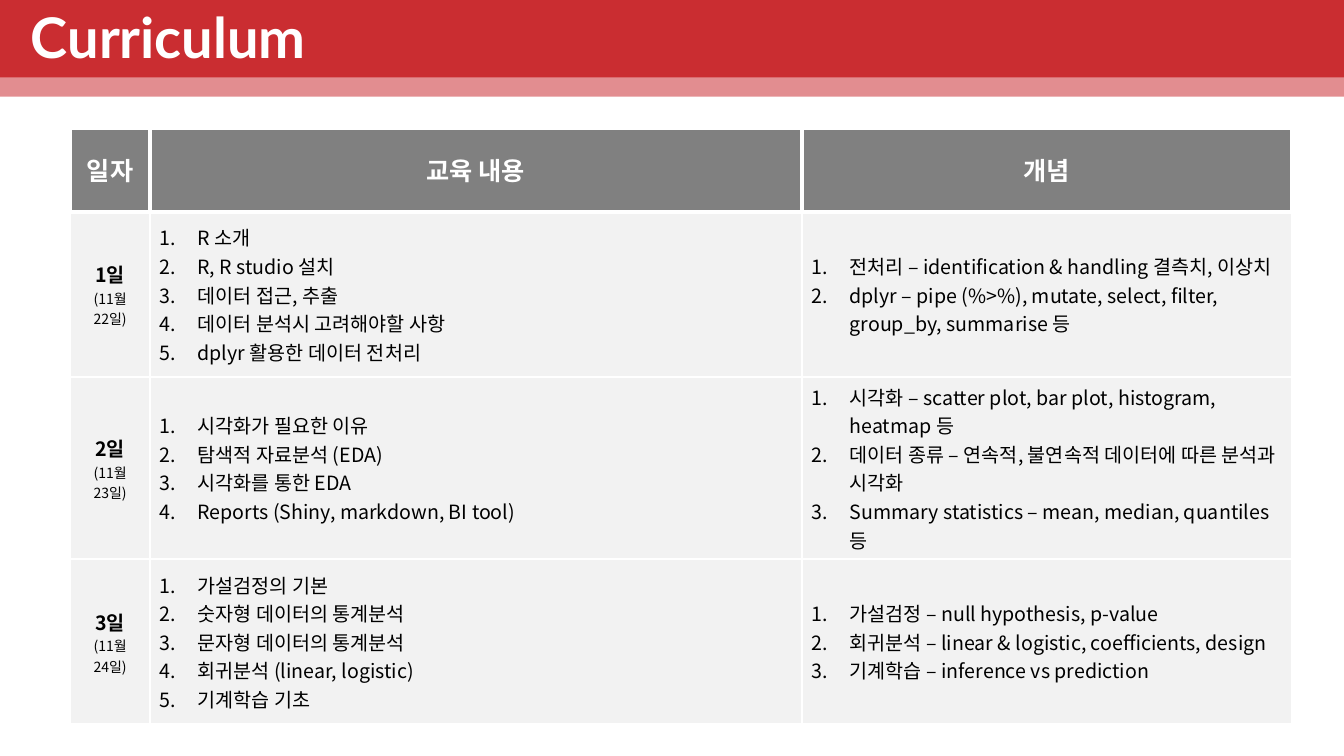
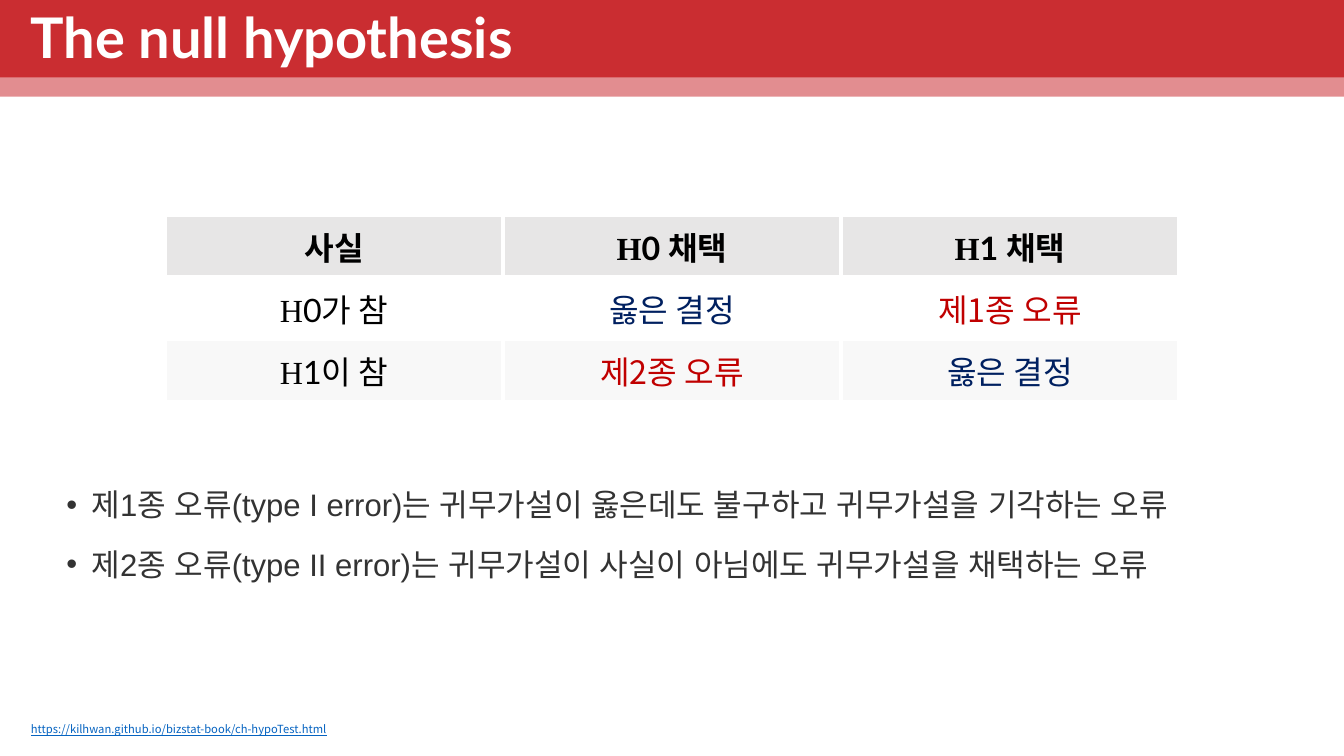
from lxml.etree import SubElement
from pptx import Presentation
from pptx.dml.color import RGBColor
from pptx.enum.shapes import MSO_SHAPE as Shape
from pptx.enum.text import MSO_ANCHOR as Anchor, PP_ALIGN as Align
from pptx.oxml.ns import qn
from pptx.util import Pt

RED = RGBColor(0xC7, 0x1D, 0x22)
WHITE = RGBColor(0xFF, 0xFF, 0xFF)
BLACK = RGBColor(0x00, 0x00, 0x00)
HEADER_GRAY = RGBColor(0x80, 0x80, 0x80)
ROW_GRAY = RGBColor(0xF2, 0xF2, 0xF2)
HEADER_LIGHT = RGBColor(0xE7, 0xE6, 0xE6)
ROW_LIGHT = RGBColor(0xF8, 0xF8, 0xF8)
TEXT_GRAY = RGBColor(0x33, 0x33, 0x33)
CORRECT_BLUE = RGBColor(0x00, 0x20, 0x60)
ERROR_RED = RGBColor(0xC0, 0x00, 0x00)
LINK_BLUE = RGBColor(0x05, 0x63, 0xC1)

KOREAN = "Noto Sans CJK KR"
LATIN = "Lato"
SERIF = "Times New Roman"


def write(frame, text, font=KOREAN, size=14, color=BLACK, bold=False, underline=False,
          align=Align.LEFT, bullet=None, indent=0, before=0, after=0, line=None):
    """Add a paragraph; text is a string or a list of (string, font) runs."""
    paragraph = frame.paragraphs[0]
    if paragraph.runs:
        paragraph = frame.add_paragraph()
        paragraph.space_before = Pt(before)
    paragraph.space_after = Pt(after)
    paragraph.alignment = align
    if line:
        paragraph.line_spacing = line
    if bullet:
        properties = paragraph._p.get_or_add_pPr()
        properties.set("marL", str(Pt(indent)))
        properties.set("indent", str(-Pt(indent)))
        if bullet == "number":
            SubElement(properties, qn("a:buAutoNum"), type="arabicPeriod")
        else:
            SubElement(properties, qn("a:buFont"), typeface="Arial")
            SubElement(properties, qn("a:buChar"), char=bullet)
    runs = [(text, font)] if isinstance(text, str) else text
    for words, typeface in runs:
        run = paragraph.add_run()
        run.text = words
        run.font.name = typeface
        run.font.size = Pt(size)
        run.font.bold = bold
        run.font.underline = underline
        run.font.color.rgb = color
        SubElement(run.font._element, qn("a:ea"), typeface=typeface)


def style_cell(cell, fill, border, top=None):
    """Fill a cell, centre it vertically and give it white borders in points."""
    cell.vertical_anchor = Anchor.MIDDLE
    properties = cell._tc.get_or_add_tcPr()
    for side in ("lnL", "lnR", "lnT", "lnB"):
        width = top if top and side == "lnT" else border
        edge = SubElement(properties, qn(f"a:{side}"), w=str(Pt(width)))
        SubElement(SubElement(edge, qn("a:solidFill")), qn("a:srgbClr"), val=str(WHITE))
    cell.fill.solid()
    cell.fill.fore_color.rgb = fill


presentation = Presentation()
presentation.slide_width = Pt(960)
presentation.slide_height = Pt(540)

# Shared header: two translucent bands and the title
slides = []
for title in ("Curriculum", "The null hypothesis"):
    slide = presentation.slides.add_slide(presentation.slide_layouts[6])
    slides.append(slide)
    for height, opacity in ((55.4, 85), (69.1, 50)):
        band = slide.shapes.add_shape(Shape.RECTANGLE, 0, 0, Pt(960), Pt(height))
        band.shadow.inherit = False
        band.line.fill.background()
        band.fill.solid()
        band.fill.fore_color.rgb = RED
        color = band._element.spPr.find(qn("a:solidFill"))[0]
        SubElement(color, qn("a:alpha"), val=str(opacity * 1000))
    frame = slide.shapes.add_textbox(Pt(15), Pt(10.8), Pt(813), Pt(36.7)).text_frame
    frame.word_wrap = True
    frame.vertical_anchor = Anchor.MIDDLE
    write(frame, title, font=LATIN, size=40, color=WHITE, bold=True, line=0.9)
curriculum, hypothesis = slides

# Curriculum table
days = [
    ("1일", "22일)", 118,
     ["R 소개", "R, R studio 설치", "데이터 접근, 추출", "데이터 분석시 고려해야할 사항",
      "dplyr 활용한 데이터 전처리"],
     ["전처리 – identification & handling 결측치, 이상치",
      "dplyr – pipe (%>%), mutate, select, filter, group_by, summarise 등"]),
    ("2일", "23일)", 130,
     ["시각화가 필요한 이유", "탐색적 자료분석 (EDA)", "시각화를 통한 EDA",
      "Reports (Shiny, markdown, BI tool)"],
     ["시각화 – scatter plot, bar plot, histogram, heatmap 등",
      "데이터 종류 – 연속적, 불연속적 데이터에 따른 분석과 시각화",
      "Summary statistics – mean, median, quantiles 등"]),
    ("3일", "24일)", 118,
     ["가설검정의 기본", "숫자형 데이터의 통계분석", "문자형 데이터의 통계분석",
      "회귀분석 (linear, logistic)", "기계학습 기초"],
     ["가설검정 – null hypothesis, p-value",
      "회귀분석 – linear & logistic, coefficients, design",
      "기계학습 – inference vs prediction"]),
]
column_widths = (56.5, 465.8, 350)
header_height = 60
table_height = header_height + sum(day[2] for day in days)
table = curriculum.shapes.add_table(
    4, 3, Pt(50.4), Pt(91.4), Pt(sum(column_widths)), Pt(table_height)).table
table.horz_banding = False
for column, width in zip(table.columns, column_widths):
    column.width = Pt(width)
table.rows[0].height = Pt(header_height)
for index, heading in enumerate(("일자", "교육 내용", "개념")):
    cell = table.cell(0, index)
    style_cell(cell, HEADER_GRAY, border=3)
    write(cell.text_frame, heading, size=18, color=WHITE, bold=True, align=Align.CENTER)
for row, (day, date, height, topics, concepts) in enumerate(days, start=1):
    table.rows[row].height = Pt(height)
    for index in range(3):
        style_cell(table.cell(row, index), ROW_GRAY, border=1.5, top=3 if row == 1 else None)
    frame = table.cell(row, 0).text_frame
    write(frame, day, bold=True, align=Align.CENTER)
    for part in ("(11월", date):
        write(frame, part, size=10, align=Align.CENTER)
    for index, items in ((1, topics), (2, concepts)):
        for item in items:
            write(table.cell(row, index).text_frame, item, bullet="number", indent=27)

# Decision table
correct = ("옳은 결정", CORRECT_BLUE)
type_one = ("제1종 오류", ERROR_RED)
type_two = ("제2종 오류", ERROR_RED)
decisions = [
    (HEADER_LIGHT, [("사실", BLACK),
                    ([("H", SERIF), ("0 ", LATIN), ("채택", KOREAN)], BLACK),
                    ([("H", SERIF), ("1 ", LATIN), ("채택", KOREAN)], BLACK)]),
    (WHITE, [([("H", SERIF), ("0", LATIN), ("가 참", KOREAN)], BLACK), correct, type_one]),
    (ROW_LIGHT, [([("H", SERIF), ("1", LATIN), ("이 참", KOREAN)], BLACK), type_two, correct]),
]
table = hypothesis.shapes.add_table(3, 3, Pt(118), Pt(153.4), Pt(724.2), Pt(133.8)).table
table.horz_banding = False
for row, (fill, entries) in enumerate(decisions):
    for index, (text, color) in enumerate(entries):
        cell = table.cell(row, index)
        cell.margin_left = cell.margin_right = Pt(12)
        cell.margin_top = cell.margin_bottom = Pt(5.5)
        style_cell(cell, fill, border=3)
        write(cell.text_frame, text, size=23, color=color, bold=row == 0, align=Align.CENTER)

# Error definitions and source address
frame = hypothesis.shapes.add_textbox(Pt(40.3), Pt(343.4), Pt(888), Pt(98)).text_frame
frame.word_wrap = True
for definition in ("제1종 오류(type I error)는 귀무가설이 옳은데도 불구하고 귀무가설을 기각하는 오류",
                   "제2종 오류(type II error)는 귀무가설이 사실이 아님에도 귀무가설을 채택하는 오류"):
    write(frame, definition, font="Arial", size=22.2, color=TEXT_GRAY,
          bullet="•", indent=18, before=10, after=6)
frame = hypothesis.shapes.add_textbox(Pt(15), Pt(512.6), Pt(481), Pt(17)).text_frame
frame.word_wrap = True
write(frame, "https://kilhwan.github.io/bizstat-book/ch-hypoTest.html",
      size=8, color=LINK_BLUE, underline=True)

presentation.save("out.pptx")
